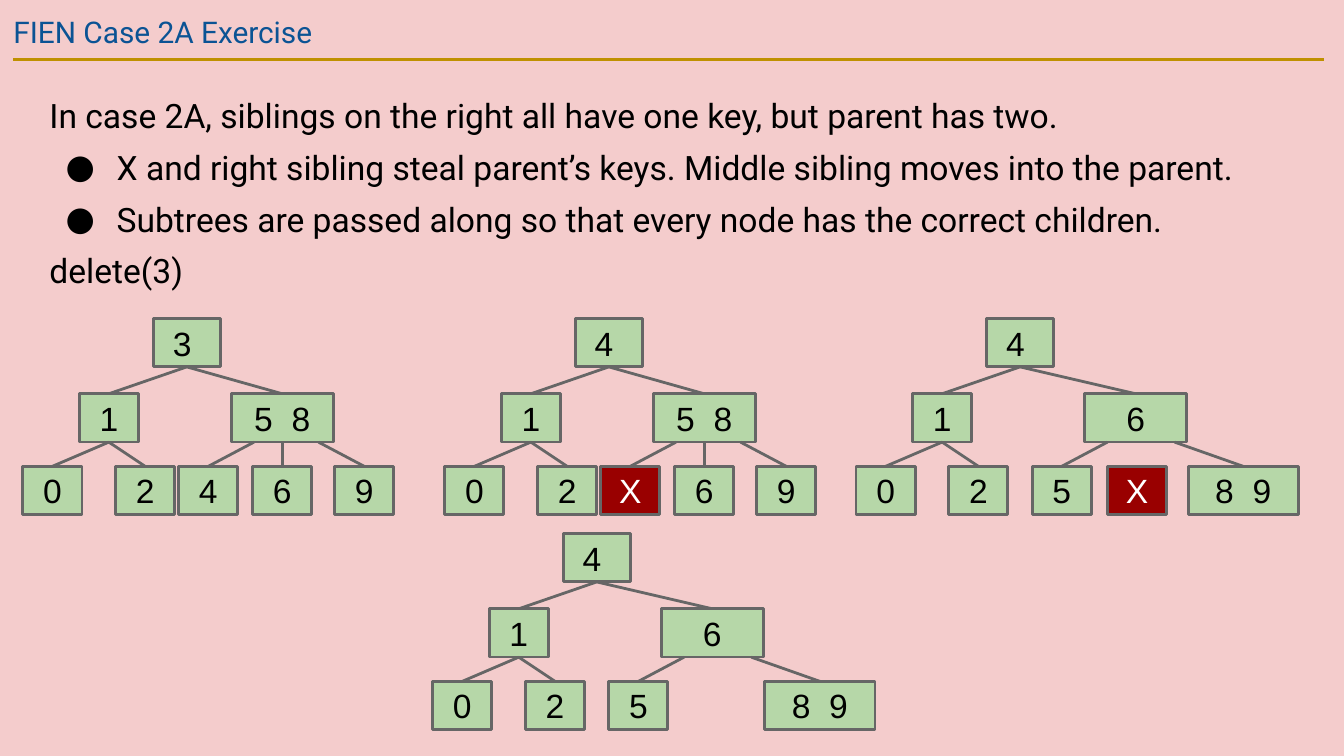
from dataclasses import dataclass
from typing import Optional

from lxml.etree import SubElement
from pptx import Presentation
from pptx.dml.color import RGBColor
from pptx.enum.shapes import MSO_CONNECTOR, MSO_SHAPE
from pptx.enum.text import MSO_ANCHOR, MSO_AUTO_SIZE, PP_ALIGN
from pptx.oxml.ns import qn
from pptx.util import Pt

EMU_PER_PX = 9144  # 100 px to the inch
SLIDE_WIDTH = 1000
NODE_HEIGHT = 36
LEAF_WIDTH, ROOT_WIDTH, INNER_WIDTH, PAIR_WIDTH = 44, 50, 76, 82
INNER_ROW, LEAF_ROW = 56, 110  # below the top of the root
GREEN, RED, GRAY, BLACK, WHITE = "B6D7A8", "990000", "666666", "000000", "FFFFFF"


@dataclass
class Node:
    text: str
    left: int  # from the left of the root
    width: int = LEAF_WIDTH
    port: Optional[int] = None  # where its edge leaves the parent


@dataclass
class Tree:
    left: int
    top: int
    root: str
    right: Node
    leaves: list[Node]


def px(value: float) -> int:
    return round(value * EMU_PER_PX)


def color(value: str) -> RGBColor:
    return RGBColor.from_string(value)


def set_font(paragraph, name: str, size: int, value: str) -> None:
    paragraph.font.name = name
    paragraph.font.size = Pt(size)
    paragraph.font.color.rgb = color(value)


def set_margins(frame) -> None:
    frame.margin_left = frame.margin_right = px(10)
    frame.margin_top = frame.margin_bottom = px(10)
    frame.word_wrap = True


def add_line(shapes, start: tuple, end: tuple, value: str) -> None:
    line = shapes.add_connector(MSO_CONNECTOR.STRAIGHT, *map(px, start + end))
    line.line.color.rgb = color(value)
    line.line.width = Pt(1.5)
    SubElement(line._element.spPr, qn("a:effectLst"))


def add_node(shapes, node: Node, left: int, top: int) -> None:
    shape = shapes.add_shape(MSO_SHAPE.RECTANGLE, px(left + node.left), px(top),
                             px(node.width), px(NODE_HEIGHT))
    removed = node.text == "X"
    shape.shadow.inherit = False
    shape.fill.solid()
    shape.fill.fore_color.rgb = color(RED if removed else GREEN)
    shape.line.color.rgb = color(GRAY)
    shape.line.width = Pt(1.5)
    frame = shape.text_frame
    set_margins(frame)
    frame.vertical_anchor = MSO_ANCHOR.MIDDLE
    paragraph = frame.paragraphs[0]
    paragraph.text = node.text
    paragraph.alignment = PP_ALIGN.CENTER
    set_font(paragraph, "Arial", 18, WHITE if removed else BLACK)


def add_children(shapes, tree: Tree, parent: Node, row: int,
                 children: list[Node], child_row: int) -> None:
    for child in children:
        if child.port is not None:
            start = (tree.left + parent.left + child.port, tree.top + row + NODE_HEIGHT)
            end = (tree.left + child.left + child.width / 2, tree.top + child_row)
            add_line(shapes, start, end, GRAY)
        add_node(shapes, child, tree.left, tree.top + child_row)


def add_tree(slide, tree: Tree) -> None:
    shapes = slide.shapes.add_group_shape().shapes
    root = Node(tree.root, 0, ROOT_WIDTH)
    left = Node("1", -55, port=25)
    add_node(shapes, root, tree.left, tree.top)
    add_children(shapes, tree, root, 0, [left, tree.right], INNER_ROW)
    add_children(shapes, tree, left, INNER_ROW,
                 [Node("0", -97, port=22), Node("2", -28, port=22)], LEAF_ROW)
    add_children(shapes, tree, tree.right, INNER_ROW, tree.leaves, LEAF_ROW)


def add_bullet(paragraph) -> None:
    properties = paragraph._p.get_or_add_pPr()
    properties.set("marL", str(px(50)))
    properties.set("indent", str(px(-38)))
    bullet_color = SubElement(properties, qn("a:buClr"))
    SubElement(bullet_color, qn("a:srgbClr")).set("val", BLACK)
    SubElement(properties, qn("a:buFont")).set("typeface", "Roboto")
    SubElement(properties, qn("a:buChar")).set("char", "●")


def add_title(slide, text: str) -> None:
    title = slide.shapes.title
    title.left, title.top, title.width, title.height = 0, 0, px(932), px(43)
    frame = title.text_frame
    set_margins(frame)
    frame.auto_size = MSO_AUTO_SIZE.NONE
    frame.vertical_anchor = MSO_ANCHOR.TOP
    paragraph = frame.paragraphs[0]
    paragraph.text = text
    paragraph.alignment = PP_ALIGN.LEFT
    set_font(paragraph, "Roboto", 16, "0B5394")


def add_body(slide, lines: list[tuple[str, bool]]) -> None:
    frame = slide.shapes.add_textbox(px(27), px(61), px(964), px(134)).text_frame
    set_margins(frame)
    for index, (text, bulleted) in enumerate(lines):
        paragraph = frame.add_paragraph() if index else frame.paragraphs[0]
        paragraph.text = text
        if bulleted:
            add_bullet(paragraph)
        if index:
            paragraph.space_before = Pt(6)
        set_font(paragraph, "Roboto", 18, BLACK)


BODY = [
    ("In case 2A, siblings on the right all have one key, but parent has two.", False),
    ("X and right sibling steal parent’s keys. Middle sibling moves into the parent.", True),
    ("Subtrees are passed along so that every node has the correct children.", True),
    ("delete(3)", False),
]

# Right subtrees before and after the keys move
FULL = Node("5  8", 58, INNER_WIDTH, 25)
REDUCED = Node("6", 73, INNER_WIDTH, 25)
SIX, NINE = Node("6", 74, port=38), Node("9", 135, port=65)
FIVE, PAIR = Node("5", 34, port=17), Node("8  9", 150, PAIR_WIDTH, 67)

TREES = [
    Tree(114, 237, "3 ", FULL, [Node("4", 19, port=17), SIX, NINE]),
    Tree(428, 237, "4 ", FULL, [Node("X", 19, port=17), SIX, NINE]),
    Tree(734, 237, "4 ", REDUCED, [FIVE, Node("X", 90), PAIR]),
    Tree(419, 397, "4 ", REDUCED, [FIVE, PAIR]),
]


def main() -> None:
    presentation = Presentation()
    presentation.slide_width = px(SLIDE_WIDTH)
    presentation.slide_height = px(SLIDE_WIDTH * 9 / 16)
    slide = presentation.slides.add_slide(presentation.slide_layouts[5])
    slide.background.fill.solid()
    slide.background.fill.fore_color.rgb = color("F4CCCC")

    # Heading with its rule
    add_line(slide.shapes, (10, 44), (985, 44), "BF9000")
    add_title(slide, "FIEN Case 2A Exercise")

    # Explanation and the steps of the deletion
    add_body(slide, BODY)
    for tree in TREES:
        add_tree(slide, tree)

    presentation.save("out.pptx")


if __name__ == "__main__":
    main()
